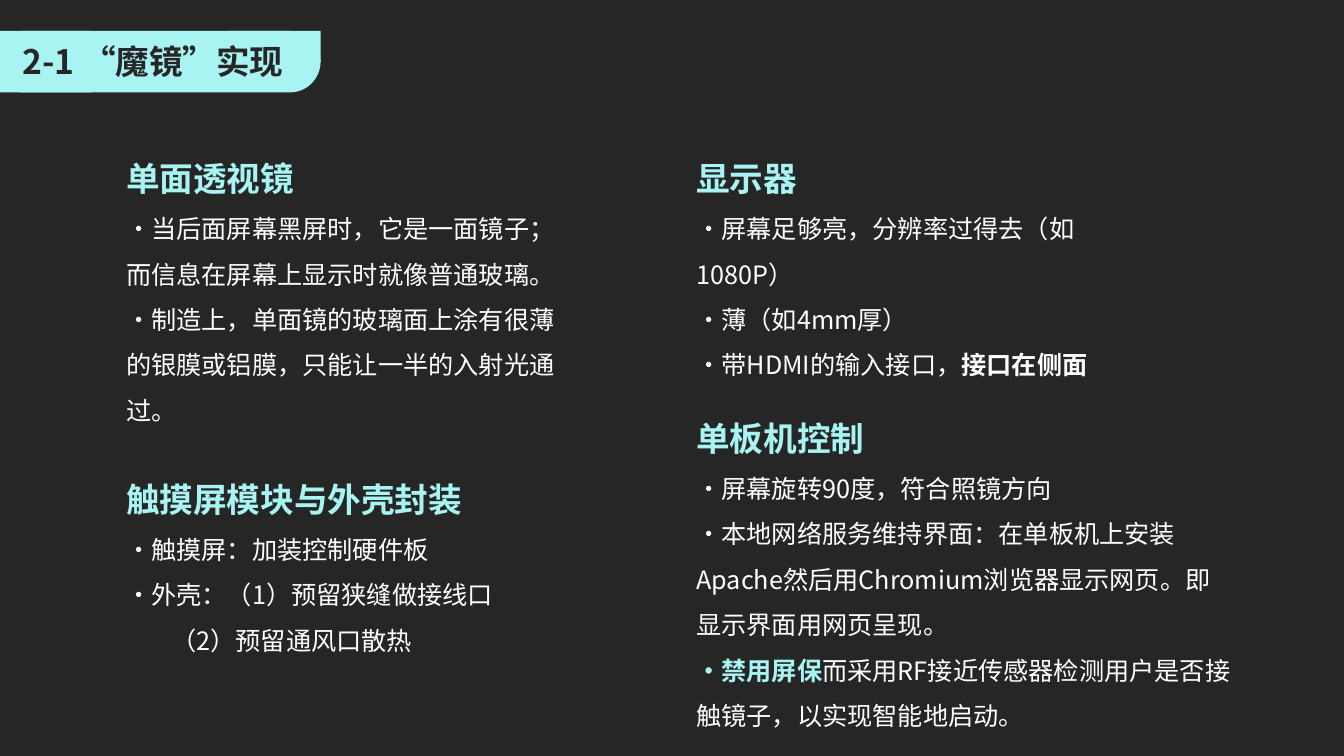
import pptx
import pptx.util
import pptx.dml.color
import pptx.enum.lang
import pptx.enum.shapes
import pptx.enum.text
import lxml.etree
import pptx.oxml.ns

Cm = pptx.util.Cm
RGBColor = pptx.dml.color.RGBColor
MSO_SHAPE = pptx.enum.shapes.MSO_SHAPE

DARK = RGBColor(0x26, 0x26, 0x26)
AQUA = RGBColor(0xA8, 0xF4, 0xF2)
WHITE = RGBColor(0xFF, 0xFF, 0xFF)
FONT = "Noto Sans CJK SC"

TITLE = "2-1 “魔镜”实现"
PLAIN = {"color": WHITE}
STRONG = {"color": WHITE, "bold": True}
ACCENT = {"color": AQUA, "bold": True}

BAND_PARTS = [
    (MSO_SHAPE.ROUNDED_RECTANGLE, -0.2, 0.78, 8.28, 1.55),
    (MSO_SHAPE.RECTANGLE, -0.05, 0.78, 2.34, 0.66),
    (MSO_SHAPE.RECTANGLE, -0.05, 1.67, 2.34, 0.66),
    (MSO_SHAPE.RECTANGLE, 5.74, 0.78, 2.34, 0.79),
]

SECTIONS = [
    {"left": 2.93, "top": 3.35, "width": 11.66, "lines": 5, "heading": "单面透视镜", "body": [
        [("·当后面屏幕黑屏时，它是一面镜子；而信息在屏幕上显示时就像普通玻璃。", PLAIN)],
        [("·制造上，单面镜的玻璃面上涂有很薄的银膜或铝膜，只能让一半的入射光通过。", PLAIN)],
    ]},
    {"left": 2.93, "top": 11.43, "width": 11.66, "lines": 3, "heading": "触摸屏模块与外壳封装", "body": [
        [("·触摸屏：加装控制硬件板", PLAIN)],
        [("·外壳：（1）预留狭缝做接线口", PLAIN)],
        [("（2）预留通风口散热", PLAIN)],
    ]},
    {"left": 17.3, "top": 3.35, "width": 12.4, "lines": 3, "heading": "显示器", "body": [
        [("·屏幕足够亮，分辨率过得去（如1080P）", PLAIN)],
        [("·薄（如4mm厚）", PLAIN)],
        [("·带HDMI的输入接口，", PLAIN), ("接口在侧面", STRONG)],
    ]},
    {"left": 17.3, "top": 9.9, "width": 14.07, "lines": 6, "heading": "单板机控制", "body": [
        [("·屏幕旋转90度，符合照镜方向", PLAIN)],
        [("·本地网络服务维持界面：在单板机上安装Apache然后用Chromium浏览器显示网页。即显示界面用网页呈现。", PLAIN)],
        [("·禁用屏保", ACCENT), ("而采用RF接近传感器检测用户是否接触镜子，以实现智能地启动。", PLAIN)],
    ]},
]
HEADING_HEIGHT = 1.79
LINE_HEIGHT = 1.16
SUBITEM_INDENT = Cm(1.14)


def add_text(paragraph, text, *, size=18, color=WHITE, bold=False):
    run = paragraph.add_run()
    run.text = text
    font = run.font
    font.name = FONT
    font.size = pptx.util.Pt(size)
    font.bold = bold
    font.color.rgb = color
    font.language_id = pptx.enum.lang.MSO_LANGUAGE_ID.SIMPLIFIED_CHINESE
    east_asian = lxml.etree.SubElement(font._element, pptx.oxml.ns.qn("a:ea"))
    east_asian.set("typeface", FONT)


def add_title(slide):
    title = slide.shapes.title
    title.left, title.top, title.width, title.height = Cm(-0.12), Cm(0.91), Cm(7.95), Cm(1.27)
    frame = title.text_frame
    frame.auto_size = pptx.enum.text.MSO_AUTO_SIZE.NONE
    frame.vertical_anchor = pptx.enum.text.MSO_ANCHOR.MIDDLE
    paragraph = frame.paragraphs[0]
    paragraph.alignment = pptx.enum.text.PP_ALIGN.CENTER
    add_text(paragraph, TITLE, size=24, color=DARK, bold=True)

    band = slide.shapes.add_group_shape()
    for kind, *lengths in BAND_PARTS:
        part = band.shapes.add_shape(kind, *map(Cm, lengths))
        if kind == MSO_SHAPE.ROUNDED_RECTANGLE:
            part.adjustments[0] = 0.5
        part.shadow.inherit = False
        part.fill.solid()
        part.fill.fore_color.rgb = AQUA
        part.line.fill.background()
    title.element.addprevious(band.element)


def add_section(slide, section):
    height = HEADING_HEIGHT + LINE_HEIGHT * section["lines"]
    box = slide.shapes.add_textbox(
        Cm(section["left"]), Cm(section["top"]), Cm(section["width"]), Cm(height))
    frame = box.text_frame
    frame.word_wrap = True
    frame.auto_size = pptx.enum.text.MSO_AUTO_SIZE.SHAPE_TO_FIT_TEXT
    heading = frame.paragraphs[0]
    heading.line_spacing = 1.5
    add_text(heading, section["heading"], size=24, **ACCENT)
    for runs in section["body"]:
        paragraph = frame.add_paragraph()
        paragraph.line_spacing = 1.5
        if not runs[0][0].startswith("·"):
            paragraph._p.get_or_add_pPr().set("marL", str(SUBITEM_INDENT))
        for text, style in runs:
            add_text(paragraph, text, **style)


def main():
    presentation = pptx.Presentation()
    presentation.slide_width = Cm(33.87)
    presentation.slide_height = Cm(19.05)
    slide = presentation.slides.add_slide(presentation.slide_layouts[5])
    slide.background.fill.solid()
    slide.background.fill.fore_color.rgb = DARK
    add_title(slide)
    for section in SECTIONS:
        add_section(slide, section)
    presentation.save("out.pptx")


if __name__ == "__main__":
    main()
